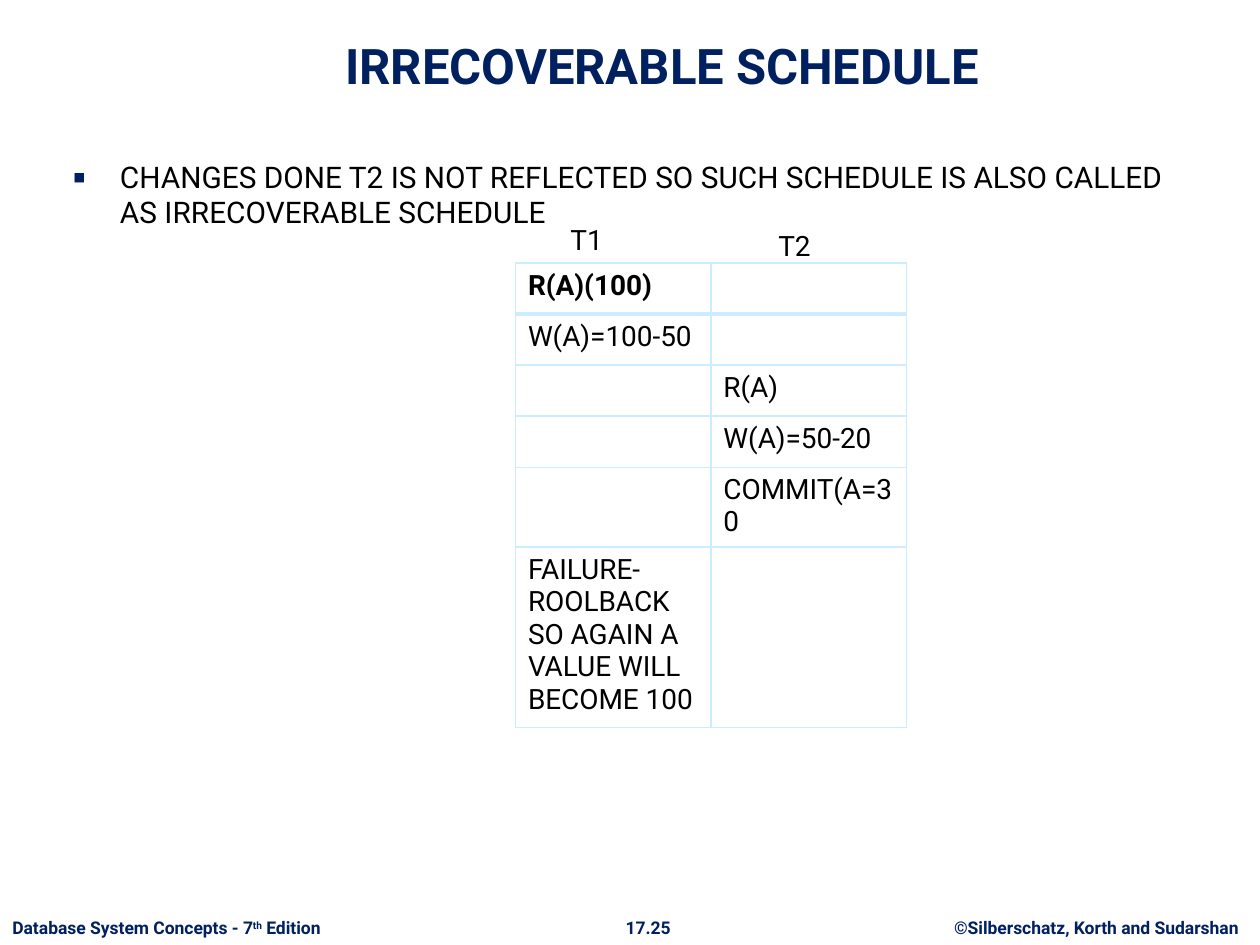
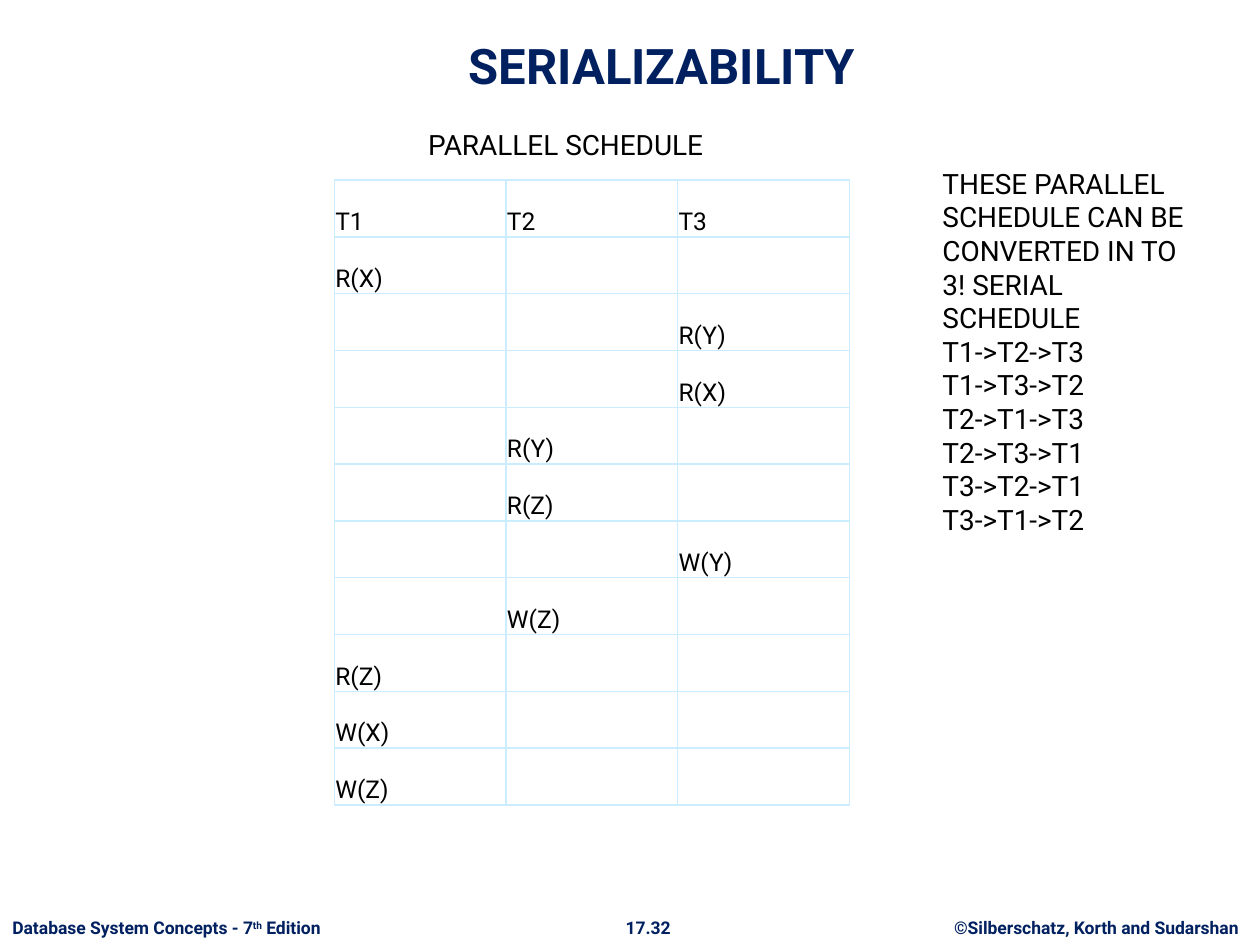
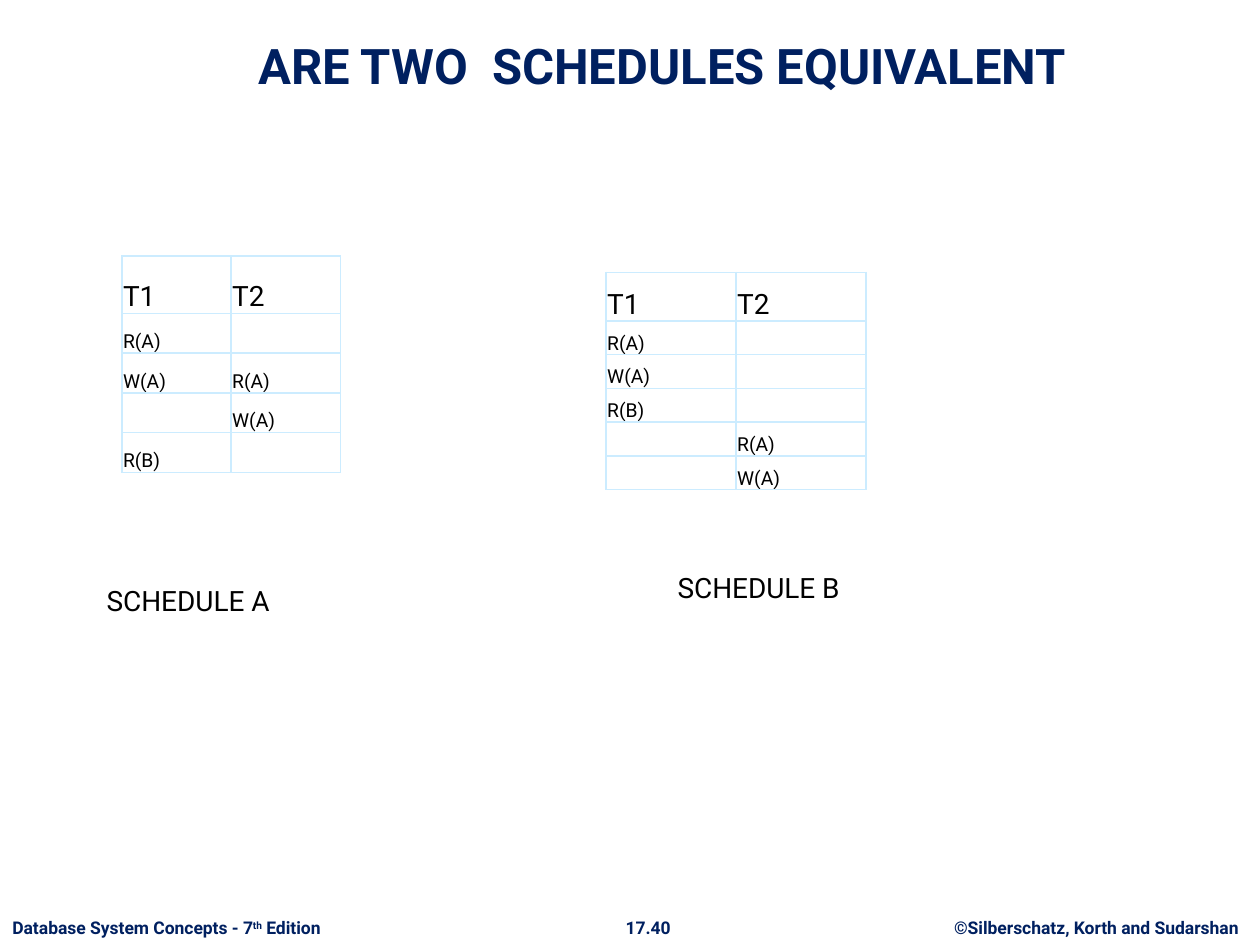
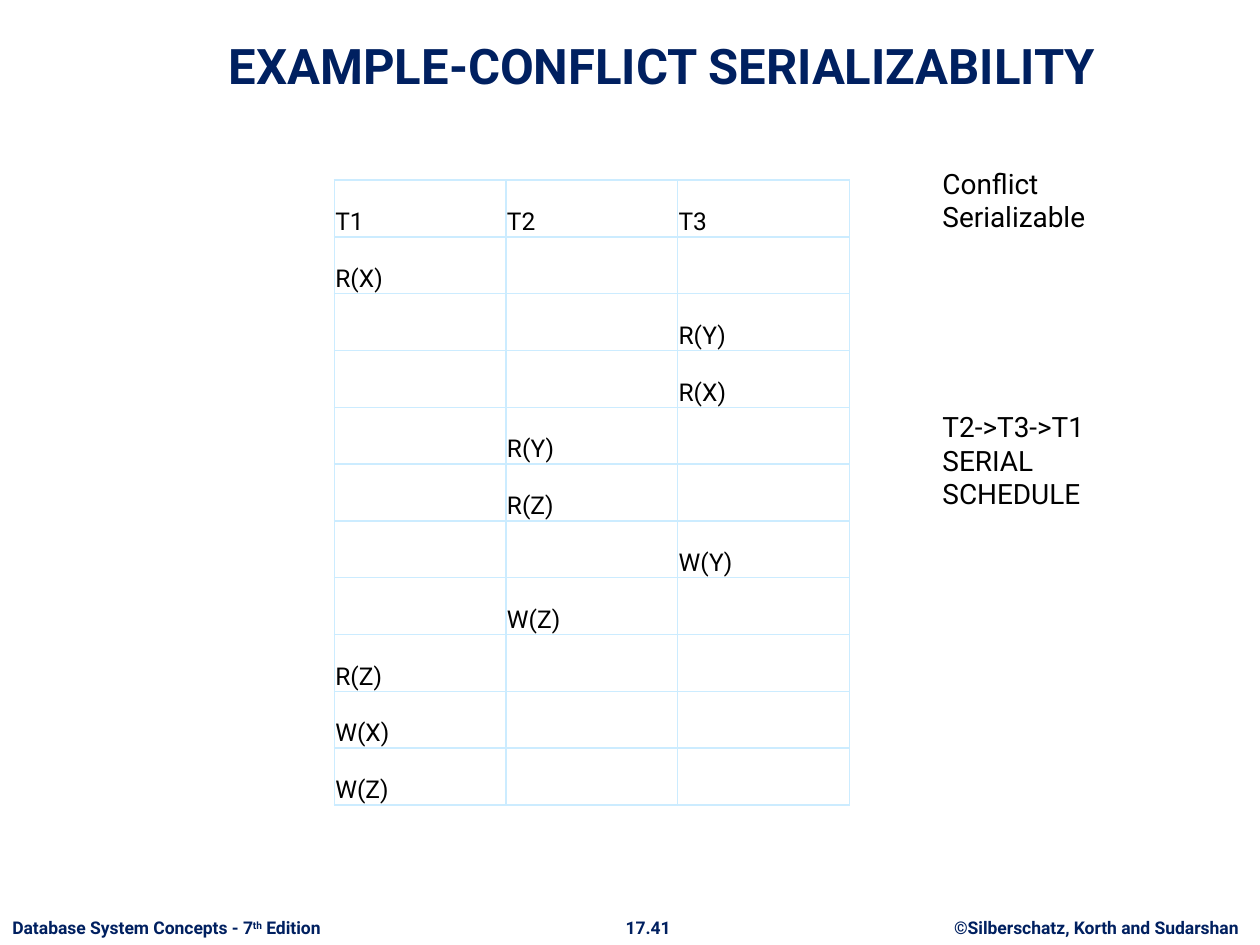
from lxml import etree
from pptx import Presentation
from pptx import util as u
from pptx.dml.color import RGBColor
from pptx.enum import text
from pptx.oxml.ns import qn

FONT = "Roboto"
COLORS = {"navy": "002060", "ink": "000000", "paper": "FFFFFF", "grid": "CCECFF"}
TITLE_ONLY = 5
FOOTER_TOP, FOOTER_HEIGHT = 18.36, 0.69

PARALLEL_STEPS = [
    (0, "R(X)"), (2, "R(Y)"), (2, "R(X)"), (1, "R(Y)"), (1, "R(Z)"),
    (2, "W(Y)"), (1, "W(Z)"), (0, "R(Z)"), (0, "W(X)"), (0, "W(Z)"),
]
SERIAL_ORDERS = ["T1->T2->T3", "T1->T3->T2", "T2->T1->T3",
                 "T2->T3->T1", "T3->T2->T1", "T3->T1->T2"]


def format_text(frame, size, color="ink", bold=False, align=None):
    for paragraph in frame.paragraphs:
        if align is not None:
            paragraph.alignment = align
        for run in paragraph.runs:
            run.font.name = FONT
            run.font.size = u.Pt(size)
            run.font.bold = bold
            run.font.color.rgb = RGBColor.from_string(COLORS[color])


def add_label(slide, wording, left, top, width, height=0.93, size=16, wrap=True, **style):
    frame = slide.shapes.add_textbox(
        u.Cm(left), u.Cm(top), u.Cm(width), u.Cm(height)).text_frame
    frame.word_wrap = wrap
    frame.text = wording
    format_text(frame, size, **style)
    return frame


def add_footers(slide, page):
    def add_footer(wording, left, width, align):
        return add_label(slide, wording, left, FOOTER_TOP, width, FOOTER_HEIGHT,
                         size=10, wrap=False, color="navy", bold=True, align=align)

    add_footer("©Silberschatz, Korth and Sudarshan", 18.8, 6.6, text.PP_ALIGN.CENTER)
    add_footer(page, 12.34, 1.45, text.PP_ALIGN.CENTER)
    edition = add_footer("Database System Concepts - 7", 0, 7.14, text.PP_ALIGN.LEFT)
    for part in ("th", " Edition"):
        edition.paragraphs[0].add_run().text = part
    format_text(edition, 10, "navy", bold=True)
    edition.paragraphs[0].runs[1].font._element.set("baseline", "30000")


def add_titled_slide(deck, heading, page):
    slide = deck.slides.add_slide(deck.slide_layouts[TITLE_ONLY])
    add_footers(slide, page)
    title = slide.shapes.title
    title.left, title.top, title.width, title.height = map(u.Cm, (2.13, 0.33, 22.43, 1.7))
    frame = title.text_frame
    frame.text = heading
    frame.auto_size = text.MSO_AUTO_SIZE.NONE
    frame.vertical_anchor = text.MSO_ANCHOR.BOTTOM
    format_text(frame, 28, "navy", bold=True, align=text.PP_ALIGN.CENTER)
    return slide


def add_bullet(slide, wording, left, top, width, height):
    frame = add_label(slide, wording, left, top, width, height, size=17)
    properties = frame.paragraphs[0]._p.get_or_add_pPr()
    indent = u.Cm(0.95)
    properties.set("marL", str(indent))
    properties.set("indent", str(-indent))
    bullet_color = etree.SubElement(properties, qn("a:buClr"))
    etree.SubElement(bullet_color, qn("a:srgbClr"), val=COLORS["navy"])
    etree.SubElement(properties, qn("a:buSzPct"), val="110000")
    etree.SubElement(properties, qn("a:buFont"), typeface=FONT)
    etree.SubElement(properties, qn("a:buChar"), char="▪")


def set_borders(cell, **widths):
    """Draw all four sides 1 pt wide, unless a side's width is given."""
    properties = cell._tc.get_or_add_tcPr()
    for side in ("lnL", "lnR", "lnT", "lnB"):
        line = etree.SubElement(properties, qn(f"a:{side}"),
                                w=str(u.Pt(widths.get(side, 1))))
        fill = etree.SubElement(line, qn("a:solidFill"))
        etree.SubElement(fill, qn("a:srgbClr"), val=COLORS["grid"])


def add_schedule(slide, rows, left, top, column_width, row_heights,
                 size, header_size=None, compact=True):
    """Table of transactions; the loose form has a bold first row on a thick rule."""
    columns = len(rows[0])
    table = slide.shapes.add_table(
        len(rows), columns, u.Cm(left), u.Cm(top),
        u.Cm(column_width * columns), u.Cm(sum(row_heights))).table
    table.horz_banding = False
    for column in table.columns:
        column.width = u.Cm(column_width)
    for index, (row, height, operations) in enumerate(zip(table.rows, row_heights, rows)):
        row.height = u.Cm(height)
        text_size = header_size if header_size and index == 0 else size
        rule = {} if compact else {0: {"lnB": 3}, 1: {"lnT": 3}}.get(index, {})
        for cell, operation in zip(row.cells, operations):
            if compact:
                cell.margin_left = cell.margin_right = cell.margin_top = u.Cm(0.02)
                cell.margin_bottom = 0
                cell.vertical_anchor = text.MSO_ANCHOR.BOTTOM
            set_borders(cell, **rule)
            cell.fill.solid()
            cell.fill.fore_color.rgb = RGBColor.from_string(COLORS["paper"])
            if operation:
                cell.text_frame.text = operation
                format_text(cell.text_frame, text_size, bold=not compact and index == 0)
            else:
                # An empty cell otherwise takes 18 pt and stretches its row
                etree.SubElement(cell.text_frame.paragraphs[0]._p,
                                 qn("a:endParaRPr"), sz=str(text_size * 100))


def add_parallel_schedule(slide):
    rows = [("T1", "T2", "T3")]
    rows += [[operation if column == active else "" for column in range(3)]
             for active, operation in PARALLEL_STEPS]
    add_schedule(slide, rows, 6.74, 3.63, 3.46, [1.146] * len(rows), size=14)


def build_irrecoverable(deck):
    slide = add_titled_slide(deck, "IRRECOVERABLE SCHEDULE", "17.25")
    add_bullet(slide, "CHANGES DONE T2 IS NOT REFLECTED SO SUCH SCHEDULE IS ALSO "
               "CALLED AS IRRECOVERABLE SCHEDULE", 1.22, 3.07, 23.37, 14.91)
    rows = [
        ("R(A)(100)", ""),
        ("W(A)=100-50", ""),
        ("", "R(A)"),
        ("", "W(A)=50-20"),
        ("", "COMMIT(A=30"),
        ("FAILURE-\nROOLBACK\nSO AGAIN A VALUE WILL BECOME 100", ""),
    ]
    add_schedule(slide, rows, 10.39, 5.3, 3.94, [1.03] * 4 + [1.57, 3.53],
                 size=16, compact=False)
    add_label(slide, "T1", 11.25, 4.37, 1.45)
    add_label(slide, "T2", 15.44, 4.48, 1.73)


def build_serializability(deck):
    slide = add_titled_slide(deck, "SERIALIZABILITY", "17.32")
    add_parallel_schedule(slide)
    conversion = ("THESE PARALLEL SCHEDULE CAN BE CONVERTED IN TO "
                  "3! SERIAL SCHEDULE")
    add_label(slide, "\n".join([conversion] + SERIAL_ORDERS), 18.75, 3.23, 5.82, 9.14)
    add_label(slide, "PARALLEL SCHEDULE", 8.38, 2.44, 7.47)


def build_equivalence(deck):
    slide = add_titled_slide(deck, "ARE TWO  SCHEDULES EQUIVALENT", "17.40")
    header = ("T1", "T2")
    schedule_a = [header, ("R(A)", ""), ("W(A)", "R(A)"), ("", "W(A)"), ("R(B)", "")]
    schedule_b = [header, ("R(A)", ""), ("W(A)", ""), ("R(B)", ""),
                  ("", "R(A)"), ("", "W(A)")]
    add_schedule(slide, schedule_a, 2.46, 5.16, 2.2, [1.16] + [0.8] * 4,
                 size=11, header_size=16)
    add_schedule(slide, schedule_b, 12.22, 5.49, 2.62, [0.98] + [0.68] * 5,
                 size=11, header_size=16)
    add_label(slide, "SCHEDULE B", 13.41, 11.38, 4.7)
    add_label(slide, "SCHEDULE A", 1.9, 11.63, 4.7)


def build_conflict_example(deck):
    slide = add_titled_slide(deck, "EXAMPLE-CONFLICT SERIALIZABILITY", "17.41")
    add_parallel_schedule(slide)
    add_label(slide, "Conflict Serializable", 18.75, 3.23, 4.47, 1.63)
    add_label(slide, "T2->T3->T1 SERIAL SCHEDULE", 18.75, 8.13, 4.47, 2.31)


def main():
    deck = Presentation()
    deck.slide_width, deck.slide_height = u.Cm(25.4), u.Cm(19.05)
    build_irrecoverable(deck)
    build_serializability(deck)
    build_equivalence(deck)
    build_conflict_example(deck)
    deck.save("out.pptx")


if __name__ == "__main__":
    main()
